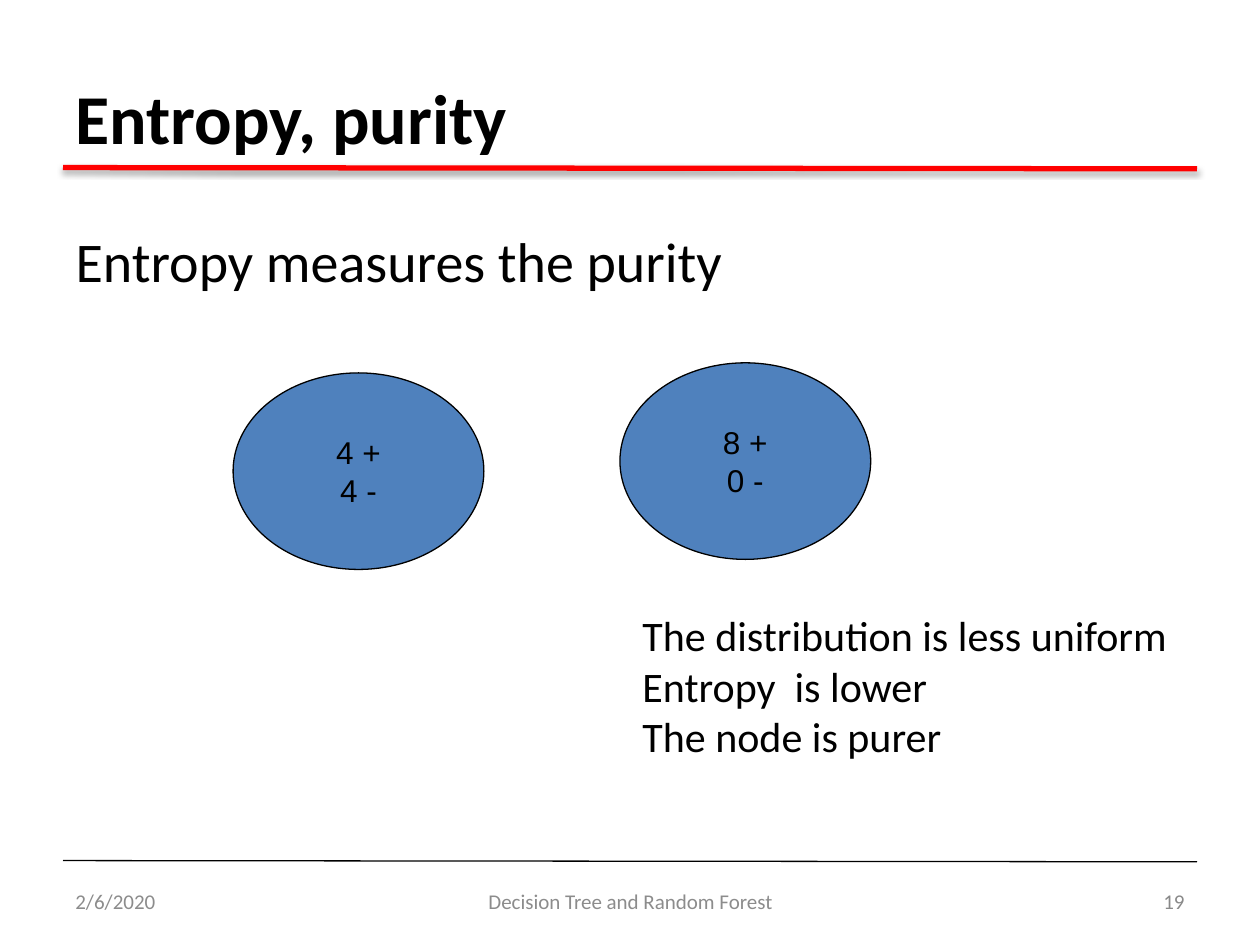
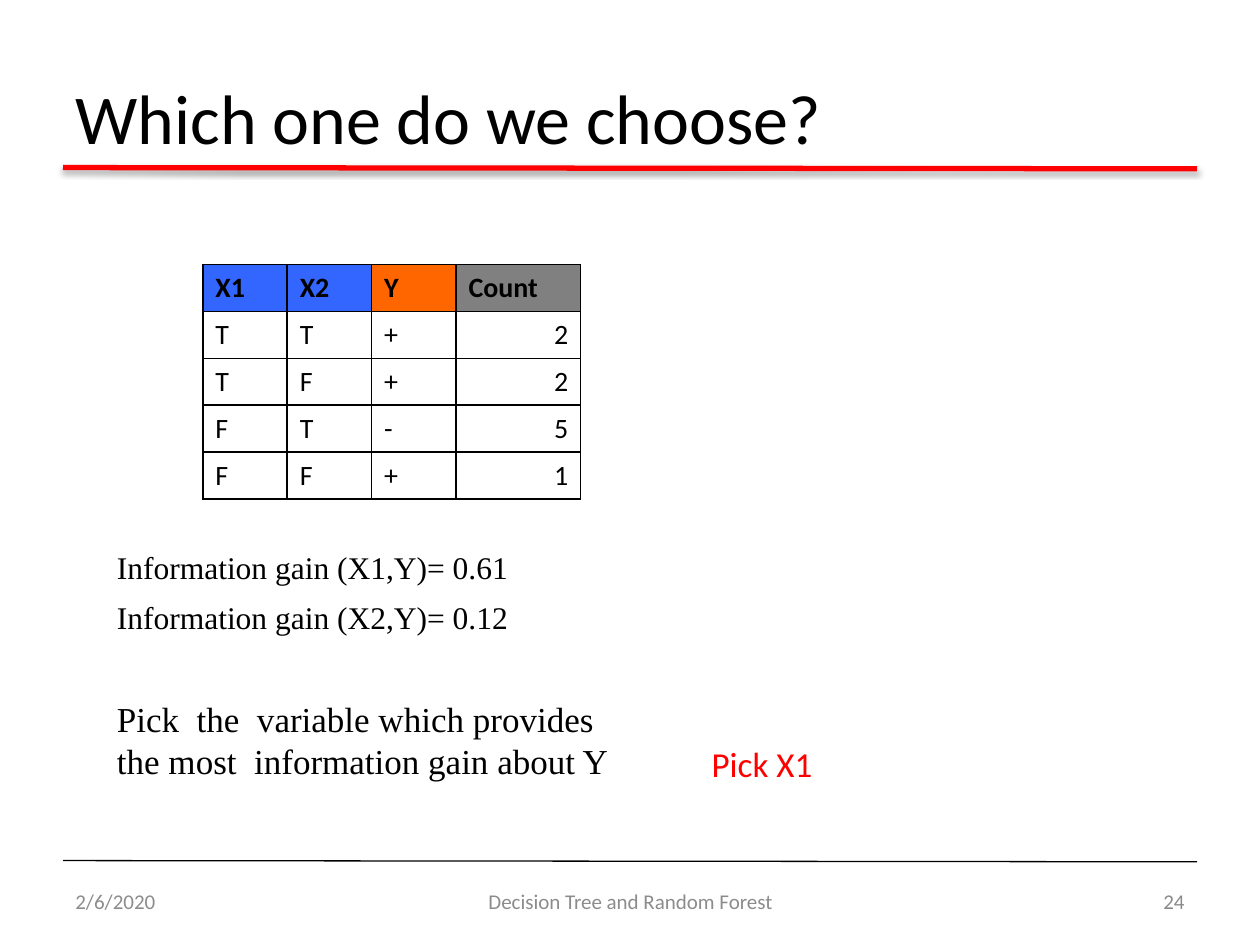
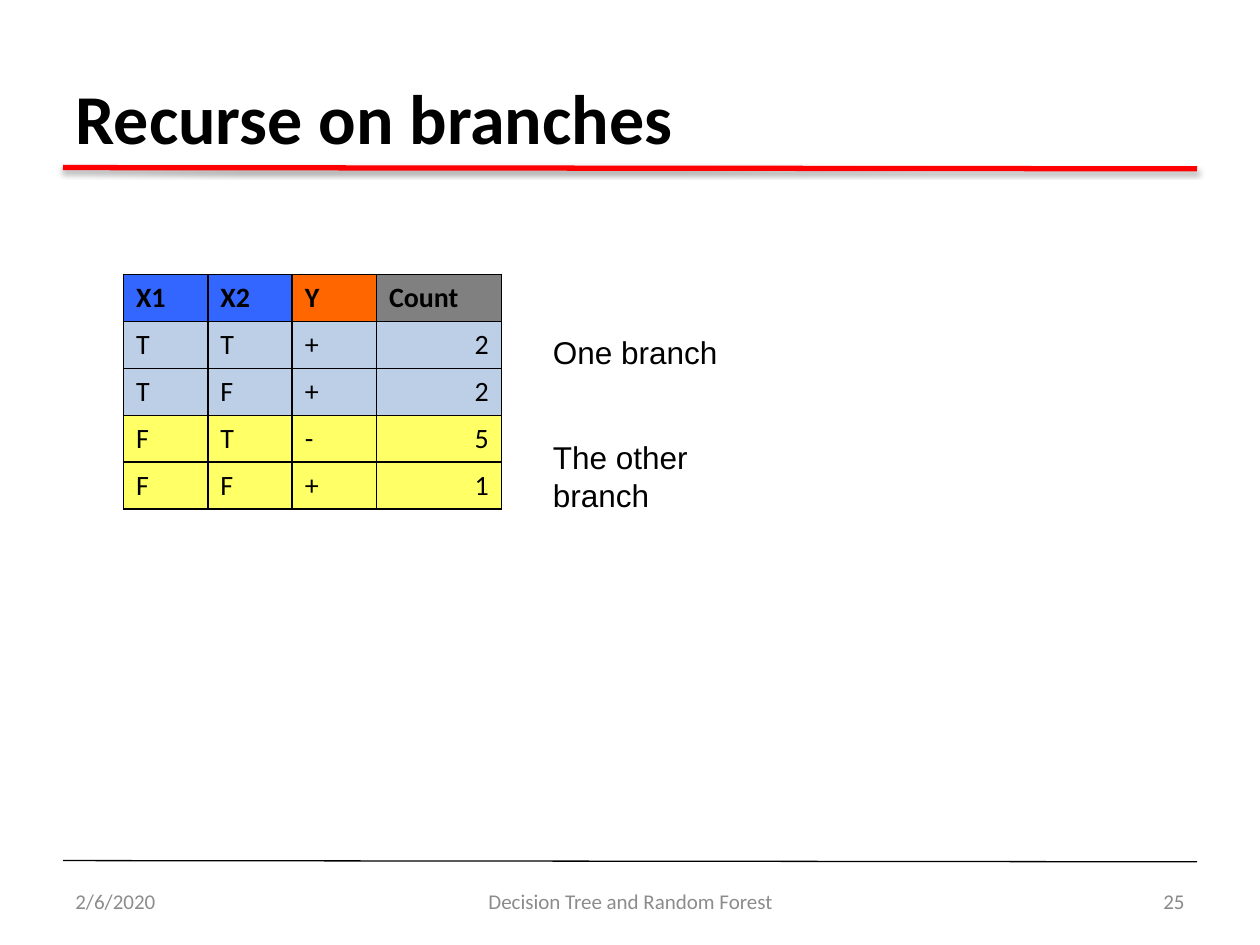
from dataclasses import dataclass

from lxml import etree
from pptx import Presentation
from pptx.dml.color import RGBColor
from pptx.enum.shapes import MSO_CONNECTOR, MSO_SHAPE
from pptx.enum.text import MSO_ANCHOR, MSO_AUTO_SIZE, PP_ALIGN
from pptx.oxml import parse_xml
from pptx.oxml.ns import nsdecls, qn
from pptx.util import Inches, Pt

LEFT, CENTER, RIGHT = PP_ALIGN.LEFT, PP_ALIGN.CENTER, PP_ALIGN.RIGHT
MIDDLE, BOTTOM = MSO_ANCHOR.MIDDLE, MSO_ANCHOR.BOTTOM
FIT = MSO_AUTO_SIZE.SHAPE_TO_FIT_TEXT
STRAIGHT = MSO_CONNECTOR.STRAIGHT
OVAL = MSO_SHAPE.OVAL


@dataclass(frozen=True)
class Theme:
    sans: str = "Calibri"
    plain: str = "Arial"
    serif: str = "Times New Roman"
    text: str = "000000"
    accent: str = "FF0000"
    footer: str = "8C8C8C"
    number: str = "898989"
    node: str = "4F81BD"
    feature: str = "3366FF"
    target: str = "FF6600"
    count: str = "808080"
    branch_true: str = "BCCFE6"
    branch_false: str = "FFFF66"
    title_size: int = 40
    body_size: int = 32
    remark_size: int = 24
    advice_size: int = 20
    label_size: int = 18
    cell_size: int = 16
    footer_size: int = 12


T = Theme()


def write(tf, text, font, size, color=T.text, bold=False, align=LEFT):
    tf.text = text
    for p in tf.paragraphs:
        p.alignment = align
        for r in p.runs:
            r.font.name = font
            r.font.size = Pt(size)
            r.font.bold = bold
            r.font.color.rgb = RGBColor.from_string(color)


def add_text(s, box, text, font, size, wrap=False, **style):
    sp = s.shapes.add_textbox(*map(Inches, box))
    tf = sp.text_frame
    write(tf, text, font, size, **style)
    tf.word_wrap = wrap
    tf.auto_size = FIT
    return sp


prs = Presentation()
prs.slide_width, prs.slide_height = Inches(10), Inches(7.5)

SHADOW = (
    f'<a:effectLst {nsdecls("a")}><a:outerShdw blurRad="{Pt(3.1)}" dist="{Pt(1.8)}" '
    'dir="5400000" rotWithShape="0"><a:srgbClr val="000000"><a:alpha val="35000"/>'
    "</a:srgbClr></a:outerShdw></a:effectLst>"
)
NO_EFFECT = f'<a:effectLst {nsdecls("a")}/>'
RULES = [(1.33, T.accent, 3, SHADOW), (6.83, T.text, 0.75, NO_EFFECT)]

slides = []
for title, bold, number, layout in [
    ("Entropy, purity", True, "19", 1),
    ("Which one do we choose?", False, "24", 5),
    ("Recurse on branches", True, "25", 5),
]:
    s = prs.slides.add_slide(prs.slide_layouts[layout])
    slides.append(s)

    for y, color, width, effect in RULES:
        line = s.shapes.add_connector(
            STRAIGHT, Inches(0.5), Inches(y), Inches(9.5), Inches(y + 0.01)
        )
        line.line.color.rgb = RGBColor.from_string(color)
        line.line.width = Pt(width)
        line._element.spPr.append(parse_xml(effect))

    sp = s.shapes.title
    sp.left, sp.top, sp.width, sp.height = map(Inches, (0.5, 0.3, 9, 1.25))
    sp.text_frame.vertical_anchor = MIDDLE
    write(sp.text_frame, title, T.sans, T.title_size, bold=bold)

    for x, width, text, color, align in [
        (0.5, 2.33, "2/6/2020", T.footer, LEFT),
        (3.42, 3.17, "Decision Tree and Random Forest", T.footer, CENTER),
        (7.17, 2.33, number, T.number, RIGHT),
    ]:
        sp = add_text(s, (x, 6.95, width, 0.4), text, T.sans, T.footer_size,
                      wrap=True, color=color, align=align)
        sp.text_frame.auto_size = MSO_AUTO_SIZE.NONE
        sp.text_frame.vertical_anchor = MIDDLE

purity, choice, recursion = slides

body = purity.placeholders[1]
body.left, body.top, body.width, body.height = map(Inches, (0.5, 1.75, 9, 4.95))
write(body.text_frame, "Entropy measures the purity", T.sans, T.body_size)
pPr = body.text_frame.paragraphs[0]._p.get_or_add_pPr()
pPr.set("marL", str(Inches(0.38)))
pPr.set("indent", str(Inches(-0.38)))
etree.SubElement(pPr, qn("a:buNone"))

for x, y, text in [(1.85, 2.96, "4 +\n4 -"), (4.92, 2.88, "8 +\n0 -")]:
    sp = purity.shapes.add_shape(OVAL, *map(Inches, (x, y, 1.99, 1.56)))
    sp.shadow.inherit = False
    sp.fill.solid()
    sp.fill.fore_color.rgb = RGBColor.from_string(T.node)
    sp.line.color.rgb = RGBColor.from_string(T.text)
    sp.line.width = Pt(0.75)
    sp.text_frame.word_wrap = False
    sp.text_frame.vertical_anchor = MIDDLE
    write(sp.text_frame, text, T.plain, T.label_size, align=CENTER)

add_text(purity, (5, 4.79, 4.38, 1.3),
         "The distribution is less uniform\nEntropy  is lower\nThe node is purer",
         T.sans, T.remark_size)

ROWS = ["X1 X2 Y Count", "T T + 2", "T F + 2", "F T - 5", "F F + 1"]
HEADER_FILLS = [T.feature, T.feature, T.target, T.count]
COLUMNS = [0.67, 0.67, 0.67, 0.99]

for s, x, y, branch_fills in [
    (choice, 1.61, 2.1, {}),
    (recursion, 0.98, 2.18, {"T": T.branch_true, "F": T.branch_false}),
]:
    frame = s.shapes.add_table(len(ROWS), len(COLUMNS),
                               *map(Inches, (x, y, sum(COLUMNS), 0.37 * len(ROWS))))
    table = frame.table
    table.first_row = table.horz_banding = False
    for column, width in zip(table.columns, COLUMNS):
        column.width = Inches(width)
    for i, row in enumerate(ROWS):
        table.rows[i].height = Inches(0.37)
        for j, value in enumerate(row.split()):
            cell = table.cell(i, j)
            cell.vertical_anchor = BOTTOM
            write(cell.text_frame, value, T.sans, T.cell_size, bold=i == 0,
                  align=RIGHT if i and j == 3 else LEFT)
            tcPr = cell._tc.get_or_add_tcPr()
            for side in "LRTB":
                tcPr.append(parse_xml(
                    f'<a:ln{side} {nsdecls("a")} w="{Pt(1)}"><a:solidFill>'
                    f'<a:srgbClr val="{T.text}"/></a:solidFill></a:ln{side}>'
                ))
            fill = branch_fills.get(row[0]) if i else HEADER_FILLS[j]
            if fill:
                cell.fill.solid()
                cell.fill.fore_color.rgb = RGBColor.from_string(fill)
            else:
                cell.fill.background()

for y, text in [(4.3, "Information gain (X1,Y)= 0.61"),
                (4.7, "Information gain (X2,Y)= 0.12")]:
    add_text(choice, (0.83, y, 3.31, 0.4), text, T.serif, T.label_size)
add_text(choice, (5.55, 5.84, 1, 0.43), "Pick X1", T.sans, T.advice_size, color=T.accent)
add_text(choice, (0.83, 5.49, 7.72, 0.77),
         "Pick  the  variable which provides\nthe most  information gain about Y",
         T.serif, T.advice_size, wrap=True)

for y, width, text in [(2.59, 1.51, "One branch"), (3.43, 2.1, "The other branch")]:
    add_text(recursion, (4.29, y, width, 0.4), text, T.plain, T.label_size)

prs.save("out.pptx")
